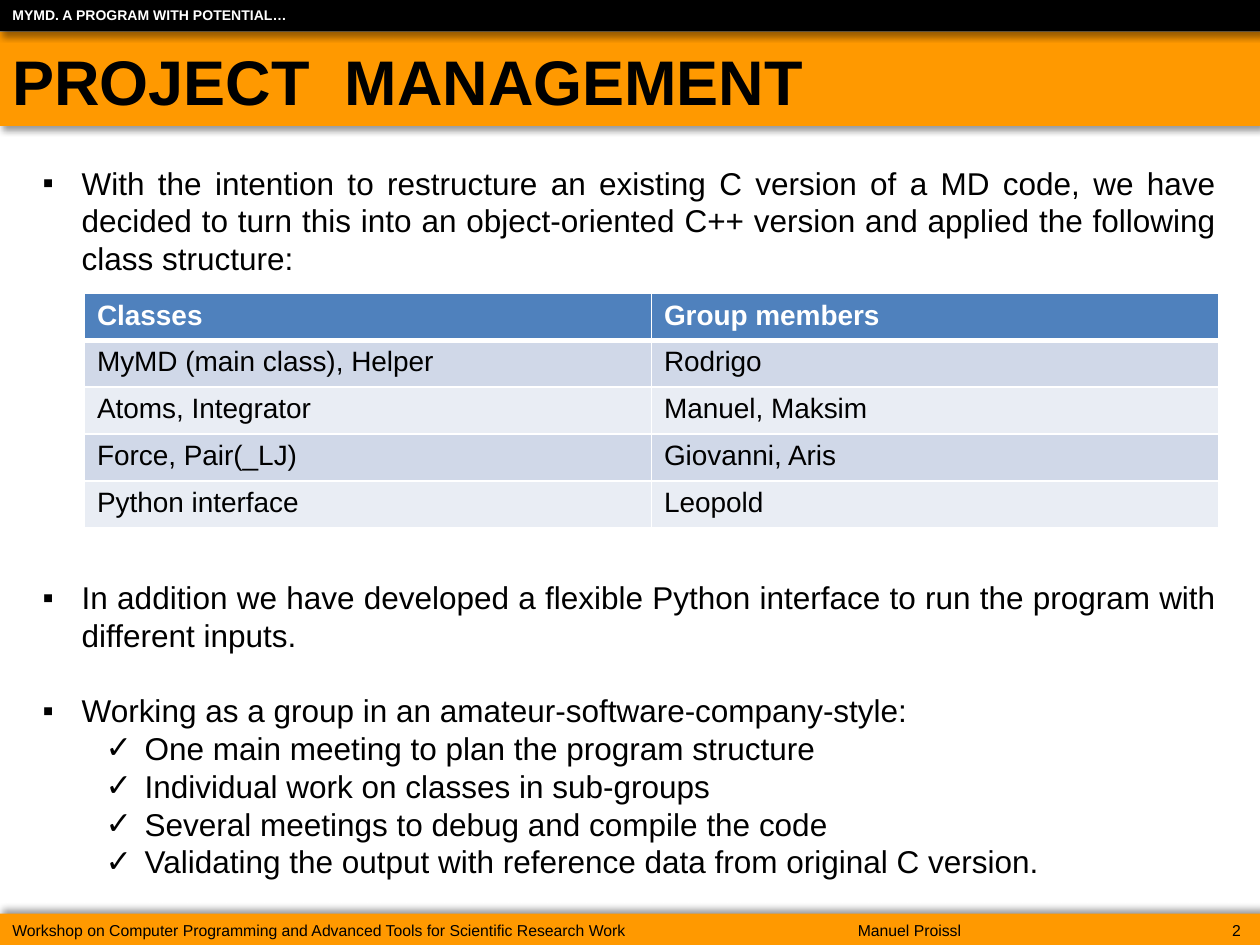
from lxml import etree
from pptx import Presentation
from pptx.dml.color import RGBColor
from pptx.enum.shapes import MSO_SHAPE
from pptx.enum.text import MSO_AUTO_SIZE, PP_ALIGN
from pptx.oxml.ns import qn
from pptx.util import Inches, Pt

RECTANGLE = MSO_SHAPE.RECTANGLE
GROW = MSO_AUTO_SIZE.SHAPE_TO_FIT_TEXT
JUSTIFY = PP_ALIGN.JUSTIFY

FONT = "Arial"
ORANGE, BLACK, WHITE = "FF9900", "000000", "FFFFFF"
HEADER_BLUE, BAND_DARK, BAND_LIGHT = "4F81BD", "D0D8E8", "E9EDF4"
LINE = 21.55  # height of one body line in points

# Text, level, space before in lines
BODY = [
    ("With the intention to restructure an existing C version of a MD code, "
     "we have decided to turn this into an object-oriented C++ version and "
     "applied the following class structure:", 0, 0),
    ("In addition we have developed a flexible Python interface to run the "
     "program with different inputs.", 0, 8),
    ("Working as a group in an amateur-software-company-style:", 0, 1),
    ("One main meeting to plan the program structure", 1, 0),
    ("Individual work on classes in sub-groups", 1, 0),
    ("Several meetings to debug and compile the code", 1, 0),
    ("Validating the output with reference data from original C version.", 1, 0),
]
BULLETS = ["▪", "✓"]
INDENTS = [0.31, 0.81]

CLASSES = [
    ("Classes", "Group members"),
    ("MyMD (main class), Helper", "Rodrigo"),
    ("Atoms, Integrator", "Manuel, Maksim"),
    ("Force, Pair(_LJ)", "Giovanni, Aris"),
    ("Python interface", "Leopold"),
]


def color(value):
    return RGBColor.from_string(value)


def add_child(parent, tag, **attributes):
    child = etree.SubElement(parent, qn(tag))
    for name, value in attributes.items():
        child.set(name, str(value))
    return child


def style_text(para, size, text_color=BLACK, bold=False):
    for span in para.runs:
        span.font.name = FONT
        span.font.size = Pt(size)
        span.font.bold = bold
        span.font.color.rgb = color(text_color)


def add_bar(page, top, height, fill, angle):
    """Full-width bar with a soft shadow cast in the given direction."""
    bar = page.shapes.add_shape(RECTANGLE, Inches(-0.01), Inches(top),
                                Inches(10.01), Inches(height))
    bar.fill.solid()
    bar.fill.fore_color.rgb = color(fill)
    bar.line.fill.background()
    bar.shadow.inherit = False
    effects = bar._element.spPr.find(qn("a:effectLst"))
    shadow = add_child(effects, "a:outerShdw", blurRad=Pt(4), dist=Pt(3),
                       dir=angle * 60000, rotWithShape=0)
    shade = add_child(shadow, "a:srgbClr", val=BLACK)
    add_child(shade, "a:alpha", val=40000)


def add_box(page, left, top, width, height):
    box = page.shapes.add_textbox(Inches(left), Inches(top),
                                  Inches(width), Inches(height))
    box.text_frame.word_wrap = True
    box.text_frame.auto_size = GROW
    return box.text_frame


def add_label(page, text, top, width, height, size, text_color=BLACK, bold=False):
    frame = add_box(page, 0, top, width, height)
    frame.text = text
    para = frame.paragraphs[0]
    style_text(para, size, text_color, bold)
    return para


def set_tabs(para, stops):
    tabs = add_child(para._p.get_or_add_pPr(), "a:tabLst")
    for position, alignment in stops:
        add_child(tabs, "a:tab", pos=Inches(position), algn=alignment)


def add_body(page):
    frame = add_box(page, 0.24, 1.25, 9.51, 5.86)
    for index, (text, level, gap) in enumerate(BODY):
        para = frame.add_paragraph() if index else frame.paragraphs[0]
        para.text = text
        para.level = level
        para.alignment = JUSTIFY
        para.line_spacing = Pt(LINE)
        para.space_before = Pt(gap * LINE)
        style_text(para, 18)
        properties = para._p.get_or_add_pPr()
        properties.set("marL", str(Inches(INDENTS[level])))
        properties.set("indent", str(Inches(-0.31)))
        add_child(properties, "a:buFont", typeface=FONT)
        add_child(properties, "a:buChar", char=BULLETS[level])


def set_borders(cell, widths):
    properties = cell._tc.get_or_add_tcPr()
    for position, (side, width) in enumerate(widths.items()):
        border = etree.Element(qn(f"a:{side}"), w=str(Pt(width)))
        add_child(add_child(border, "a:solidFill"), "a:srgbClr", val=WHITE)
        properties.insert(position, border)


def add_class_table(page):
    table = page.shapes.add_table(len(CLASSES), 2, Inches(0.67), Inches(2.33),
                                  Inches(9), Inches(1.86)).table
    for row, texts in enumerate(CLASSES):
        header = row == 0
        fill = HEADER_BLUE if header else (BAND_LIGHT, BAND_DARK)[row % 2]
        for column, text in enumerate(texts):
            cell = table.cell(row, column)
            cell.text = text
            cell.fill.solid()
            cell.fill.fore_color.rgb = color(fill)
            style_text(cell.text_frame.paragraphs[0], 16,
                       WHITE if header else BLACK, header)
            set_borders(cell, {"lnL": 1, "lnR": 1, "lnT": 3 if row == 1 else 1,
                               "lnB": 3 if header else 1})


def main():
    deck = Presentation()
    deck.slide_width, deck.slide_height = Inches(10), Inches(7.5)
    page = deck.slides.add_slide(deck.slide_layouts[6])

    # Header and footer bars
    add_bar(page, 0.25, 0.75, ORANGE, 45)
    add_bar(page, 0, 0.25, BLACK, 45)
    add_bar(page, 7.25, 0.25, ORANGE, 315)

    # Title, running head and footer
    add_label(page, "PROJECT  MANAGEMENT", 0.29, 10, 0.71, 36, bold=True)
    add_label(page, "MYMD. A PROGRAM WITH POTENTIAL…", 0, 9.33, 0.24, 8, WHITE, True)
    footer = add_label(page, "Workshop on Computer Programming and Advanced Tools "
                       "for Scientific Research Work\tManuel Proissl\t2",
                       7.26, 10, 0.25, 9)
    set_tabs(footer, [(7.12, "ctr"), (9.75, "r")])

    # Content
    add_body(page)
    add_class_table(page)
    deck.save("out.pptx")


if __name__ == "__main__":
    main()
